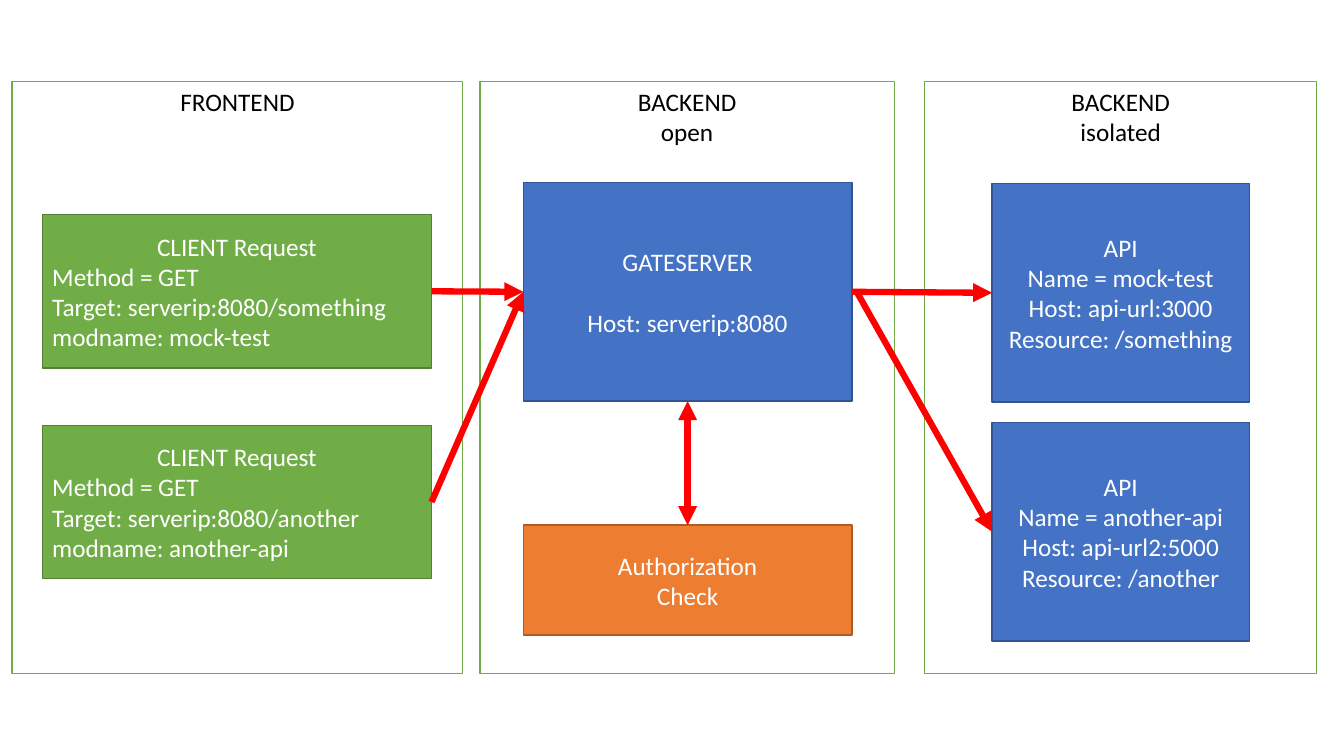
"""Build a slide showing requests passing from clients through a gate server to isolated APIs."""
from dataclasses import dataclass

from lxml import etree
from pptx import Presentation
from pptx import util as u
from pptx.dml.color import RGBColor
from pptx.enum import shapes, text
from pptx.oxml.ns import qn


@dataclass(frozen=True)
class Theme:
    font: str = "Calibri"
    size: int = 18
    outline: int = 1
    arrow_width: float = 4.5
    arrow: str = "FF0000"
    panel: tuple = ("FFFFFF", "70AD47", "000000")
    client: tuple = ("70AD47", "538035", "FFFFFF")
    server: tuple = ("4472C4", "325491", "FFFFFF")
    check: tuple = ("ED7D31", "AF5C24", "FFFFFF")


theme = Theme()
SCALE = u.Inches(1) // 100
TOP, LEFT, BOTTOM, RIGHT = range(4)

presentation = Presentation()
presentation.slide_width = 1333 * SCALE
presentation.slide_height = 750 * SCALE
slide = presentation.slides.add_slide(presentation.slide_layouts[6])


def add_box(frame, colors, lines, anchor=text.MSO_ANCHOR.MIDDLE):
    fill, outline, ink = colors
    shape = slide.shapes.add_shape(
        shapes.MSO_SHAPE.RECTANGLE, *(length * SCALE for length in frame)
    )
    shape.shadow.inherit = False
    shape.fill.solid()
    shape.fill.fore_color.rgb = RGBColor.from_string(fill)
    shape.line.color.rgb = RGBColor.from_string(outline)
    shape.line.width = u.Pt(theme.outline)
    shape.text_frame.word_wrap = True
    shape.text_frame.vertical_anchor = anchor
    shape.text_frame.text = "\n".join(lines)
    for paragraph in shape.text_frame.paragraphs:
        paragraph.alignment = text.PP_ALIGN.CENTER
        paragraph.font.name = theme.font
        paragraph.font.size = u.Pt(theme.size)
        paragraph.font.color.rgb = RGBColor.from_string(ink)
    return shape


panels = [
    (12, 447, ["FRONTEND"]),
    (476, 411, ["BACKEND", "open"]),
    (917, 389, ["BACKEND", "isolated"]),
]
for left, width, title in panels:
    add_box((left, 81, width, 587), theme.panel, title, text.MSO_ANCHOR.TOP)

clients = []
for top, target, modname in [(213, "something", "mock-test"), (422, "another", "another-api")]:
    lines = [
        "CLIENT Request",
        "Method = GET",
        f"Target: serverip:8080/{target}",
        f"modname: {modname}",
    ]
    client = add_box((42, top, 386, 152), theme.client, lines)
    for paragraph in client.text_frame.paragraphs[1:]:
        paragraph.alignment = text.PP_ALIGN.LEFT
    clients.append(client)

gateserver = add_box((519, 181, 326, 217), theme.server, ["GATESERVER", "Host: serverip:8080"])
gateserver.text_frame.paragraphs[1].space_before = u.Pt(22)
authorization = add_box((519, 521, 326, 109), theme.check, ["Authorization", "Check"])

apis = []
for top, name, host, resource in [
    (182, "mock-test", "api-url:3000", "something"),
    (419, "another-api", "api-url2:5000", "another"),
]:
    lines = ["API", f"Name = {name}", f"Host: {host}", f"Resource: /{resource}"]
    apis.append(add_box((984, top, 255, 217), theme.server, lines))

arrows = [
    (gateserver, BOTTOM, authorization, TOP, ["headEnd", "tailEnd"]),
    (clients[0], RIGHT, gateserver, LEFT, ["tailEnd"]),
    (gateserver, RIGHT, apis[0], LEFT, ["tailEnd"]),
    (clients[1], RIGHT, gateserver, LEFT, ["tailEnd"]),
    (None, None, apis[1], LEFT, ["tailEnd"]),
]
for source, source_site, target, target_site, ends in arrows:
    connector = slide.shapes.add_connector(
        shapes.MSO_CONNECTOR.STRAIGHT, 850 * SCALE, 290 * SCALE, 984 * SCALE, 528 * SCALE
    )
    if source is not None:
        connector.begin_connect(source, source_site)
    connector.end_connect(target, target_site)
    connector.line.color.rgb = RGBColor.from_string(theme.arrow)
    connector.line.width = u.Pt(theme.arrow_width)
    properties = connector.element.spPr
    for end in ends:
        etree.SubElement(properties.find(qn("a:ln")), qn(f"a:{end}"), type="triangle")
    etree.SubElement(properties, qn("a:effectLst"))

presentation.save("out.pptx")
